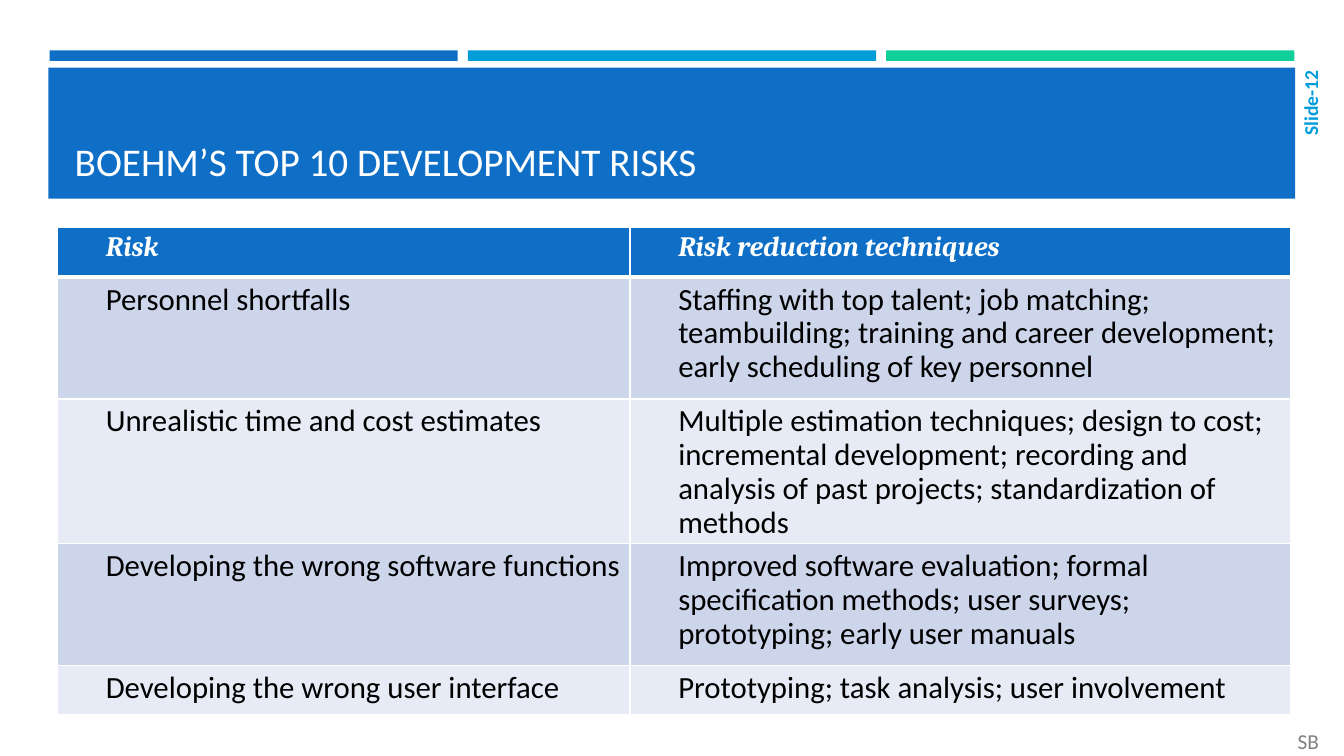
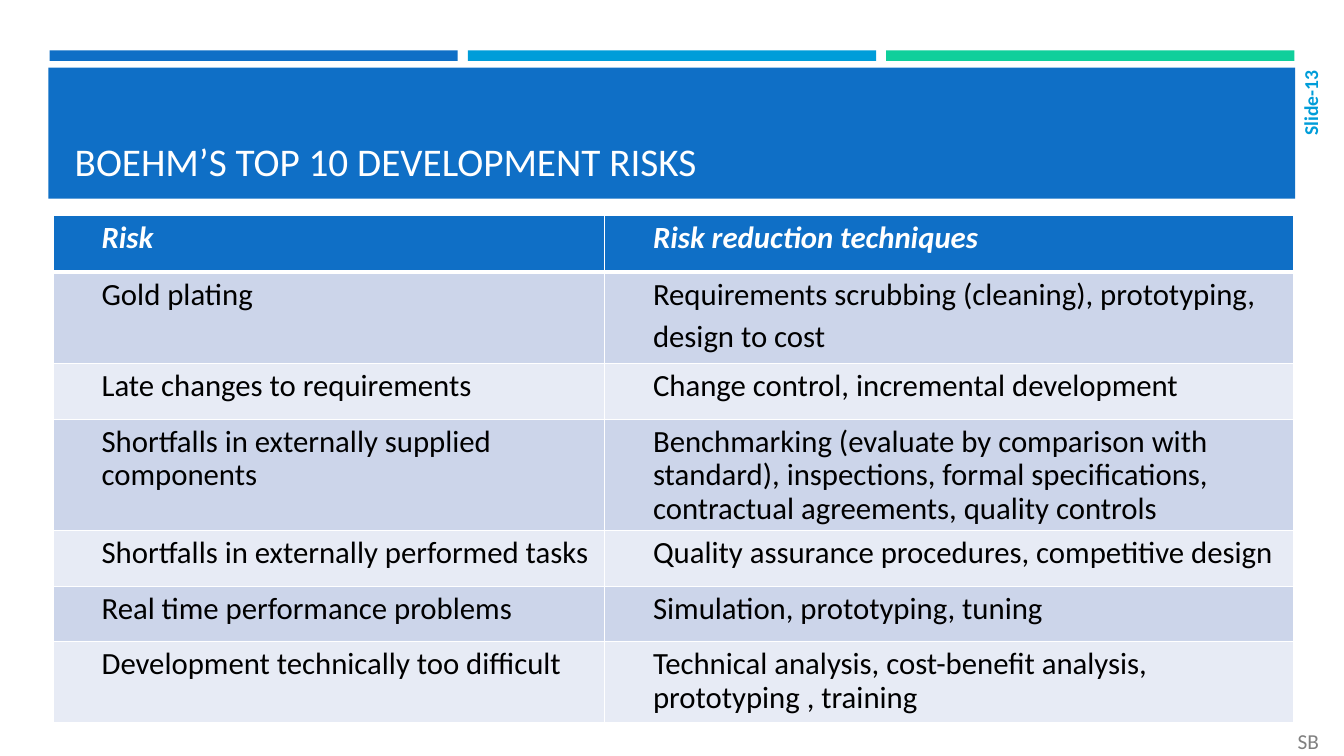
from lxml import etree
from pptx import Presentation
from pptx.dml.color import RGBColor
from pptx.enum.shapes import MSO_SHAPE
from pptx.enum.text import MSO_ANCHOR, MSO_AUTO_SIZE, PP_ALIGN
from pptx.oxml.ns import qn
from pptx.util import Inches, Pt

RECT = MSO_SHAPE.RECTANGLE
TOP, MIDDLE, BOTTOM = MSO_ANCHOR.TOP, MSO_ANCHOR.MIDDLE, MSO_ANCHOR.BOTTOM
LEFT, CENTER, RIGHT = PP_ALIGN.LEFT, PP_ALIGN.CENTER, PP_ALIGN.RIGHT
NO_FIT = MSO_AUTO_SIZE.NONE

BLUE = RGBColor(0x0F, 0x6F, 0xC6)
CYAN = RGBColor(0x00, 0x9D, 0xD9)
GREEN = RGBColor(0x10, 0xCF, 0x9B)
WHITE = RGBColor(0xFF, 0xFF, 0xFF)
BLACK = RGBColor(0x00, 0x00, 0x00)
GRAY = RGBColor(0x80, 0x80, 0x80)
ROW_DARK = RGBColor(0xCC, 0xD5, 0xEA)
ROW_LIGHT = RGBColor(0xE7, 0xEB, 0xF5)

COLUMNS, ROWS = 32, 18
FONT = "Calibri"
TITLE = "BOEHM’S TOP 10 DEVELOPMENT RISKS"
HEADER = ("Risk", "Risk reduction techniques")

SLIDES = [
    dict(
        at=(1.37, 5.42),
        widths=(13.63, 15.74),
        heights=(1.18, 2.9, 2.9, 2.9, 1.18),
        header_font=("Cambria", 20),
        risks=[
            ("Personnel shortfalls",
             "Staffing with top talent; job matching; teambuilding; training "
             "and career development; early scheduling of key personnel"),
            ("Unrealistic time and cost estimates",
             "Multiple estimation techniques; design to cost; incremental "
             "development; recording and analysis of past projects; "
             "standardization of methods"),
            ("Developing the wrong software functions",
             "Improved software evaluation; formal specification methods; "
             "user surveys; prototyping; early user manuals"),
            ("Developing the wrong user interface",
             "Prototyping; task analysis; user involvement"),
        ],
    ),
    dict(
        at=(1.27, 5.14),
        widths=(13.13, 16.39),
        heights=(1.34, 2.18, 1.32, 1.92, 1.32, 1.32, 1.92),
        header_font=(FONT, 22),
        risks=[
            ("Gold plating",
             "Requirements scrubbing (cleaning), prototyping,\ndesign to cost"),
            ("Late changes to requirements",
             "Change control, incremental development"),
            ("Shortfalls in externally supplied components",
             "Benchmarking (evaluate by comparison with standard), inspections, "
             "formal specifications, contractual agreements, quality controls"),
            ("Shortfalls in externally performed tasks",
             "Quality assurance procedures, competitive design"),
            ("Real time performance problems",
             "Simulation, prototyping, tuning"),
            ("Development technically too difficult",
             "Technical analysis, cost-benefit analysis, prototyping , training"),
        ],
    ),
]


class Deck:
    def __init__(self):
        self.prs = Presentation()
        self.prs.slide_width = Inches(13.33)
        self.prs.slide_height = Inches(7.5)
        self.s = None

    def x(self, columns):
        return round(self.prs.slide_width * columns / COLUMNS)

    def y(self, rows):
        return round(self.prs.slide_height * rows / ROWS)

    def box(self, left, top, width, height):
        return self.x(left), self.y(top), self.x(width), self.y(height)

    def add_slide(self, title, number):
        self.s = self.prs.slides.add_slide(self.prs.slide_layouts[5])
        for i, color in enumerate((BLUE, CYAN, GREEN)):
            self.rect(1.18 + 9.96 * i, 1.2, 9.72, 0.25, color)
        self.rect(1.15, 1.61, 29.69, 3.12, BLUE)
        self.title(title)
        sp = self.text(f"Slide-{number}", 30.89, 1.58, 0.62, 2.47,
                       14, CYAN, RIGHT, bold=True)
        sp.element.txBody.bodyPr.set("vert", "vert270")
        self.text("SB", 30.31, 17.28, 1.68, 0.72, 15.2, GRAY, CENTER)

    def rect(self, left, top, width, height, color):
        sp = self.s.shapes.add_shape(RECT, *self.box(left, top, width, height))
        sp.shadow.inherit = False
        sp.fill.solid()
        sp.fill.fore_color.rgb = color
        sp.line.fill.background()

    def title(self, text):
        sp = self.s.shapes.title
        sp.left, sp.top, sp.width, sp.height = self.box(1.54, 1.85, 28.94, 2.66)
        sp.element.getparent().append(sp.element)
        tf = sp.text_frame
        tf.text = text
        tf.auto_size = NO_FIT
        tf.vertical_anchor = BOTTOM
        self.style(tf, 28, WHITE)

    def text(self, text, left, top, width, height, size, color, align, bold=False):
        sp = self.s.shapes.add_textbox(*self.box(left, top, width, height))
        tf = sp.text_frame
        tf.text = text
        tf.word_wrap = True
        tf.vertical_anchor = MIDDLE
        tf.margin_left = tf.margin_right = self.x(0.1)
        tf.margin_top = tf.margin_bottom = self.y(0.1)
        self.style(tf, size, color, align, bold=bold)
        return sp

    def style(self, tf, size, color, align=LEFT, font=FONT, bold=False, italic=False):
        for p in tf.paragraphs:
            p.alignment = align
            for r in p.runs:
                r.font.name = font
                r.font.size = Pt(size)
                r.font.color.rgb = color
                r.font.bold = bold
                r.font.italic = italic

    def table(self, at, widths, heights, header_font, risks):
        shape = self.s.shapes.add_table(
            len(heights), len(widths), *self.box(*at, sum(widths), sum(heights)))
        table = shape.table
        for column, width in zip(table.columns, widths):
            column.width = self.x(width)
        for row, height in zip(table.rows, heights):
            row.height = self.y(height)
        for i, texts in enumerate([HEADER, *risks]):
            for j, text in enumerate(texts):
                self.cell(table.cell(i, j), text, i, header_font)

    def cell(self, cell, text, row, header_font):
        header = row == 0
        self.borders(cell, top=3 if row == 1 else 1, bottom=3 if header else 1)
        cell.fill.solid()
        cell.fill.fore_color.rgb = (
            BLUE if header else ROW_DARK if row % 2 else ROW_LIGHT)
        cell.vertical_anchor = TOP
        cell.margin_left, cell.margin_right = self.x(1.15), self.x(0.24)
        cell.margin_top = cell.margin_bottom = self.y(0.14)
        tf = cell.text_frame
        tf.text = text
        for i, p in enumerate(tf.paragraphs):
            p.line_spacing = 0.9
            if i:
                p.space_before = Pt(6.6)
        font, size = header_font if header else (FONT, 22)
        self.style(tf, size, WHITE if header else BLACK,
                   font=font, bold=header, italic=header)

    def borders(self, cell, top, bottom):
        tcPr = cell._tc.get_or_add_tcPr()
        for side, width in (("L", 1), ("R", 1), ("T", top), ("B", bottom)):
            ln = etree.SubElement(tcPr, qn(f"a:ln{side}"), w=str(Pt(width)))
            fill = etree.SubElement(ln, qn("a:solidFill"))
            etree.SubElement(fill, qn("a:srgbClr"), val=str(WHITE))


def main():
    deck = Deck()
    for number, content in enumerate(SLIDES, start=12):
        deck.add_slide(TITLE, number)
        deck.table(**content)
    deck.prs.save("out.pptx")


if __name__ == "__main__":
    main()
